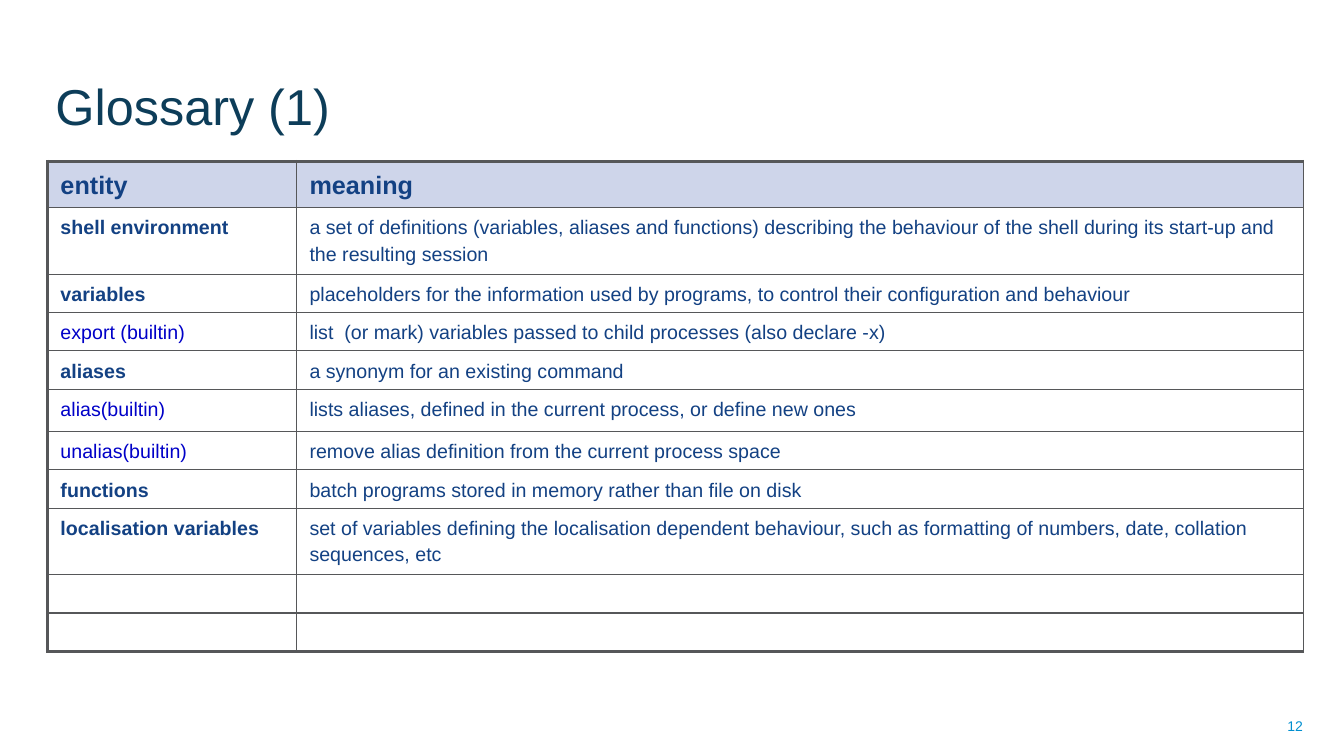
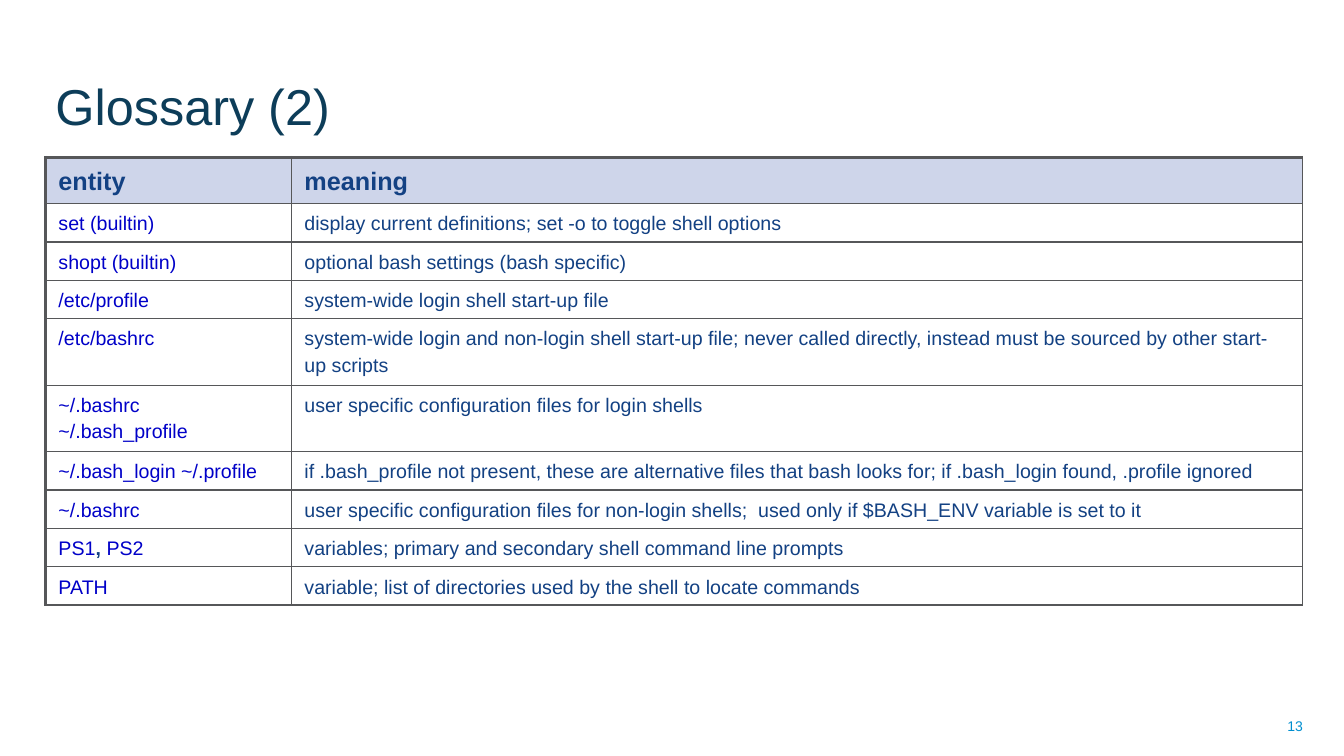
"""Build two glossary slides about the shell environment."""
from dataclasses import dataclass

from lxml import etree
from pptx import Presentation
from pptx import util as u
from pptx.dml.color import RGBColor
from pptx.enum import text as t
from pptx.oxml import ns

Inches = u.Inches


@dataclass(frozen=True)
class Theme:
    """Colours, font and type sizes shared by all slides."""
    font: str = "Arial"
    title: str = "0D3D59"
    ink: str = "134183"
    command: str = "0000C8"
    number: str = "008FD0"
    header_fill: str = "CED5EA"
    rule: str = "565759"
    title_size: int = 36
    header_size: int = 18
    body_size: int = 14
    number_size: int = 10
    thin: float = 1
    thick: float = 2.25


@dataclass(frozen=True)
class Entry:
    """One glossary row; a concept is bold, a command is blue."""
    term: str = ""
    meaning: str = ""
    concept: bool = False
    height: float = 0.2


THEME = Theme()
HEADINGS = ("entity", "meaning")
BLANK = Entry(height=0.38)

SHELL_ENTRIES = [
    Entry("shell environment",
          "a set of definitions (variables, aliases and functions) describing the "
          "behaviour of the shell during its start-up and the resulting session",
          concept=True),
    Entry("variables",
          "placeholders for the information used by programs, to control their "
          "configuration and behaviour", concept=True),
    Entry("export (builtin)",
          "list  (or mark) variables passed to child processes (also declare -x)"),
    Entry("aliases", "a synonym for an existing command", concept=True),
    Entry("alias(builtin)",
          "lists aliases, defined in the current process, or define new ones",
          height=0.42),
    Entry("unalias(builtin)", "remove alias definition from the current process space"),
    Entry("functions", "batch programs stored in memory rather than file on disk",
          concept=True),
    Entry("localisation variables",
          "set of variables defining the localisation dependent behaviour, such as "
          "formatting of numbers, date, collation sequences, etc", concept=True),
    BLANK,
    BLANK,
]

STARTUP_ENTRIES = [
    Entry("set (builtin)", "display current definitions; set -o to toggle shell options"),
    Entry("shopt (builtin)", "optional bash settings (bash specific)"),
    Entry("/etc/profile", "system-wide login shell start-up file"),
    Entry("/etc/bashrc",
          "system-wide login and non-login shell start-up file; never called directly, "
          "instead must be sourced by other start-up scripts"),
    Entry("~/.bashrc\n~/.bash_profile",
          "user specific configuration files for login shells"),
    Entry("~/.bash_login ~/.profile",
          "if .bash_profile not present, these are alternative files that bash looks "
          "for; if .bash_login found, .profile ignored"),
    Entry("~/.bashrc",
          "user specific configuration files for non-login shells;  used only if "
          "$BASH_ENV variable is set to it"),
    Entry("PS1, PS2", "variables; primary and secondary shell command line prompts"),
    Entry("PATH", "variable; list of directories used by the shell to locate commands"),
]


def write(paragraph, text, size=THEME.body_size, color=THEME.ink, bold=False,
          align=t.PP_ALIGN.LEFT, spacing=None):
    """Append formatted text to a paragraph, with line breaks at newlines."""
    paragraph.alignment = align
    paragraph.line_spacing = spacing
    for index, line in enumerate(text.split("\n")):
        if index:
            paragraph.add_line_break()
        run = paragraph.add_run()
        run.text = line
        run.font.name = THEME.font
        run.font.size = u.Pt(size)
        run.font.bold = bold
        run.font.color.rgb = RGBColor.from_string(color)


def write_cell(cell, text, **style):
    """Append text to a table cell with the table's line spacing."""
    write(cell.text_frame.paragraphs[0], text, spacing=1.2, **style)


def add_title(slide, title):
    """Place and fill the title placeholder."""
    heading = slide.shapes.title
    heading.left, heading.top = Inches(0.45), Inches(0.14)
    heading.width, heading.height = Inches(9.98), Inches(1.26)
    frame = heading.text_frame
    frame.auto_size = t.MSO_AUTO_SIZE.NONE
    frame.vertical_anchor = t.MSO_ANCHOR.BOTTOM
    write(frame.paragraphs[0], title, size=THEME.title_size, color=THEME.title)


def add_page_number(slide, number):
    """Write the page number at the bottom right."""
    footer = slide.shapes.add_textbox(Inches(9.91), Inches(7), Inches(3.11), Inches(0.4))
    frame = footer.text_frame
    frame.word_wrap = True
    frame.vertical_anchor = t.MSO_ANCHOR.MIDDLE
    write(frame.paragraphs[0], str(number), size=THEME.number_size,
          color=THEME.number, align=t.PP_ALIGN.RIGHT)


def set_borders(cell, **widths):
    """Draw cell borders; keywords L, R, T, B give widths in points."""
    properties = cell._tc.get_or_add_tcPr()
    for side in "LRTB":
        line = etree.SubElement(properties, ns.qn(f"a:ln{side}"),
                                w=str(u.Pt(widths.get(side, THEME.thin))))
        fill = etree.SubElement(line, ns.qn("a:solidFill"))
        etree.SubElement(fill, ns.qn("a:srgbClr"), val=THEME.rule)


def frame_cells(table):
    """Set borders, fills and margins by each cell's place in the table."""
    last = len(table.rows) - 1
    for row_index, row in enumerate(table.rows):
        for column_index, cell in enumerate(row.cells):
            set_borders(cell,
                        L=THEME.thin if column_index else THEME.thick,
                        T=THEME.thin if row_index else THEME.thick,
                        B=THEME.thick if row_index == last else THEME.thin)
            if row_index:
                cell.fill.background()
            else:
                cell.fill.solid()
                cell.fill.fore_color.rgb = RGBColor.from_string(THEME.header_fill)
            cell.margin_left = cell.margin_right = Inches(0.13)
            cell.margin_top = cell.margin_bottom = Inches(0.05 if cell.text else 0)


def write_term(cell, entry):
    """Write a term, with the commas between commands in the text colour."""
    color = THEME.ink if entry.concept else THEME.command
    for index, name in enumerate(entry.term.split(", ")):
        if index:
            write_cell(cell, ", ", bold=True)
        write_cell(cell, name, color=color, bold=entry.concept)


def add_glossary(slide, entries, left, top, widths):
    """Add the two-column table of terms and meanings."""
    heights = [0.2] + [entry.height for entry in entries]
    table = slide.shapes.add_table(
        len(heights), len(widths), Inches(left), Inches(top),
        Inches(sum(widths)), Inches(sum(heights))).table
    table.first_row = table.horz_banding = False
    for column, width in zip(table.columns, widths):
        column.width = Inches(width)
    for row, height in zip(table.rows, heights):
        row.height = Inches(height)
    for column_index, heading in enumerate(HEADINGS):
        write_cell(table.cell(0, column_index), heading,
                   size=THEME.header_size, bold=True)
    for row_index, entry in enumerate(entries, start=1):
        if entry.term:
            write_term(table.cell(row_index, 0), entry)
            write_cell(table.cell(row_index, 1), entry.meaning)
    frame_cells(table)


def add_glossary_slide(deck, title, number, entries, **placement):
    """Add one slide with title, page number and glossary table."""
    slide = deck.slides.add_slide(deck.slide_layouts.get_by_name("Title Only"))
    add_page_number(slide, number)
    add_title(slide, title)
    add_glossary(slide, entries, **placement)


def main():
    """Build and save the deck."""
    deck = Presentation()
    deck.slide_width, deck.slide_height = Inches(13.33), Inches(7.5)
    add_glossary_slide(deck, "Glossary (1)", 12, SHELL_ENTRIES,
                       left=0.47, top=1.6, widths=(2.47, 9.99))
    add_glossary_slide(deck, "Glossary (2)", 13, STARTUP_ENTRIES,
                       left=0.45, top=1.56, widths=(2.44, 10.03))
    deck.save("out.pptx")


main()
